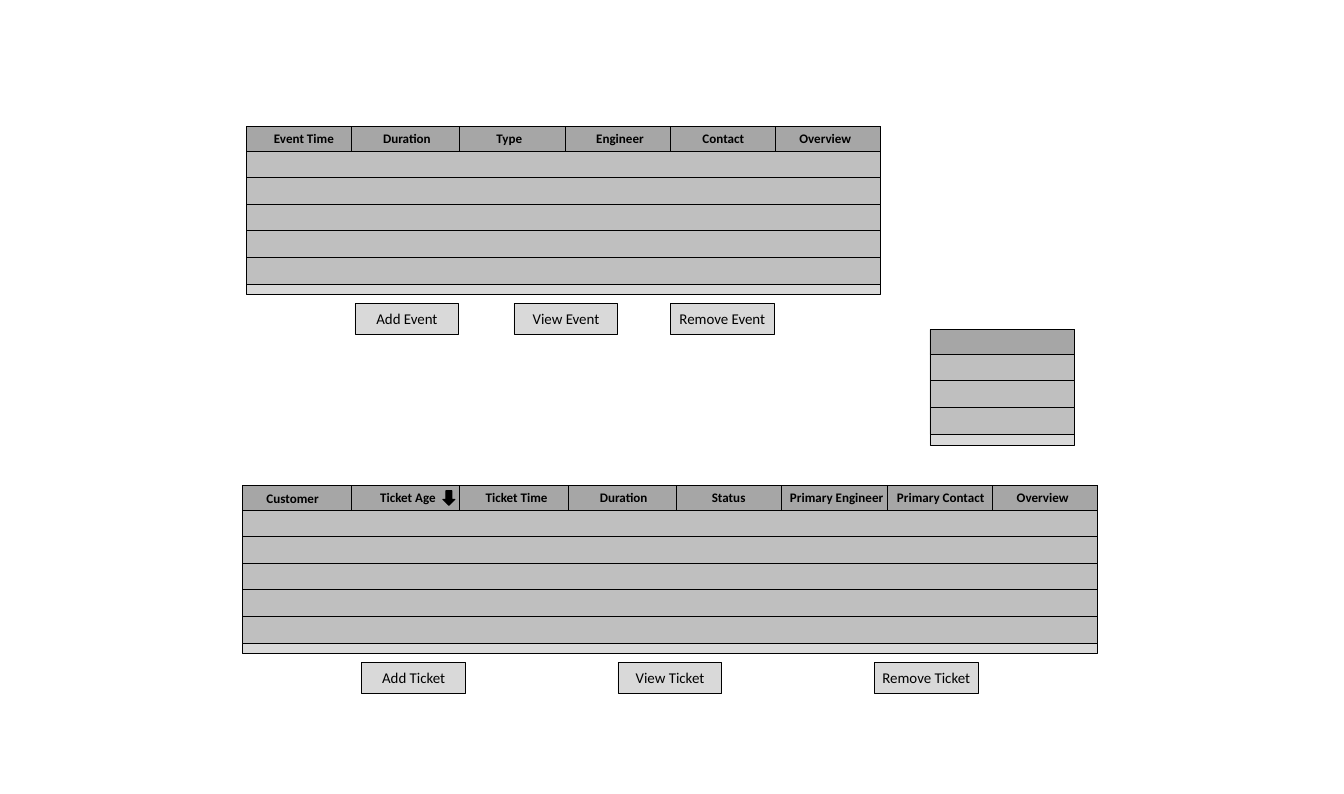
"""Build a wireframe slide with event, ticket and side grids."""
from lxml import etree
from pptx import Presentation
from pptx.dml.color import RGBColor
from pptx.enum.shapes import MSO_CONNECTOR as Link, MSO_SHAPE as Shape
from pptx.enum.text import MSO_ANCHOR as Anchor, MSO_AUTO_SIZE as Auto, PP_ALIGN as Align
from pptx.oxml.ns import qn
from pptx.util import Inches, Pt

SIZE = (20.03, 11.83)
FONT = "Calibri"
HEX = {"ink": "000000", "head": "A6A6A6", "row": "BFBFBF", "base": "D9D9D9"}
HEAD, ROW, DROP = 0.37, 0.4, 2.64
LABEL, BUTTON = 0.34, (1.55, 0.46)

PANELS = [
    {"box": (13.86, 4.91, 2.16, 1.73), "rows": 3,
     "edges": [], "labels": [], "buttons": [], "arrow": None},
    {"box": (3.68, 1.88, 9.44, 2.51), "rows": 5,
     "edges": [5.23, 6.85, 8.42, 9.99, 11.56],
     "labels": [("Event Time", 3.76, 1.54, 0.01), ("Duration", 5.16, 1.81, 0.01),
                ("Type", 6.8, 1.58, 0.02), ("Engineer", 8.42, 1.64, 0.02),
                ("Contact", 10.02, 1.52, 0.02), ("Overview", 11.5, 1.6, 0.01)],
     "buttons": [("Add Event", 5.29), ("View Event", 7.66), ("Remove Event", 9.99)],
     "arrow": None},
    {"box": (3.61, 7.23, 12.74, 2.51), "rows": 5,
     "edges": [5.23, 6.85, 8.47, 10.08, 11.65, 13.22, 14.79],
     "labels": [("Customer", 3.62, 1.48, 0.03), ("Ticket Age", 5.34, 1.48, 0.01),
                ("Ticket Time", 6.96, 1.48, 0.01), ("Duration", 8.52, 1.55, 0.01),
                ("Status", 10.11, 1.5, 0.01), ("Primary Engineer", 11.65, 1.64, 0.01),
                ("Primary Contact", 13.26, 1.52, 0.02), ("Overview", 14.74, 1.6, 0.01)],
     "buttons": [("Add Ticket", 5.39), ("View Ticket", 9.21), ("Remove Ticket", 13.03)],
     "arrow": (6.6, 0.08, 0.18, 0.22)},
]


def tint(name):
    return RGBColor.from_string(HEX[name])


def block(group, box, fill, kind=Shape.RECTANGLE):
    shape = group.shapes.add_shape(kind, *map(Inches, box))
    shape.shadow.inherit = False
    shape.fill.solid()
    shape.fill.fore_color.rgb = tint(fill)
    shape.line.color.rgb = tint("ink")
    shape.line.width = Pt(1)
    return shape


def write(shape, text, size, bold=False):
    frame = shape.text_frame
    frame.word_wrap = True
    frame.margin_left = frame.margin_right = Inches(0.05)
    para = frame.paragraphs[0]
    para.text = text
    para.alignment = Align.CENTER
    para.font.name = FONT
    para.font.size = Pt(size)
    para.font.bold = bold
    para.font.color.rgb = tint("ink")
    return frame


def divide(group, x, top):
    line = group.shapes.add_connector(
        Link.STRAIGHT, *map(Inches, (x, top + HEAD, x, top)))
    line.line.color.rgb = tint("ink")
    line.line.width = Pt(0.5)
    etree.SubElement(line._element.spPr, qn("a:effectLst"))


def draw(slide, panel):
    group = slide.shapes.add_group_shape()
    left, top, width, height = panel["box"]
    block(group, panel["box"], "base")
    for row in range(panel["rows"]):
        block(group, (left, top + 0.36 + row * ROW, width, ROW), "row")
    block(group, (left, top, width, HEAD), "head")
    for x in panel["edges"]:
        divide(group, x, top)
    for text, x, wide, shift in panel["labels"]:
        box = group.shapes.add_textbox(*map(Inches, (x, top + shift, wide, LABEL)))
        write(box, text, 14, True).auto_size = Auto.SHAPE_TO_FIT_TEXT
    for text, x in panel["buttons"]:
        shape = block(group, (x, top + DROP, *BUTTON), "base")
        write(shape, text, 16).vertical_anchor = Anchor.MIDDLE
    if panel["arrow"]:
        x, shift, wide, high = panel["arrow"]
        block(group, (x, top + shift, wide, high), "ink", Shape.DOWN_ARROW)


def main():
    deck = Presentation()
    deck.slide_width, deck.slide_height = map(Inches, SIZE)
    slide = deck.slides.add_slide(deck.slide_layouts[6])
    for panel in PANELS:
        draw(slide, panel)
    deck.save("out.pptx")


if __name__ == "__main__":
    main()
